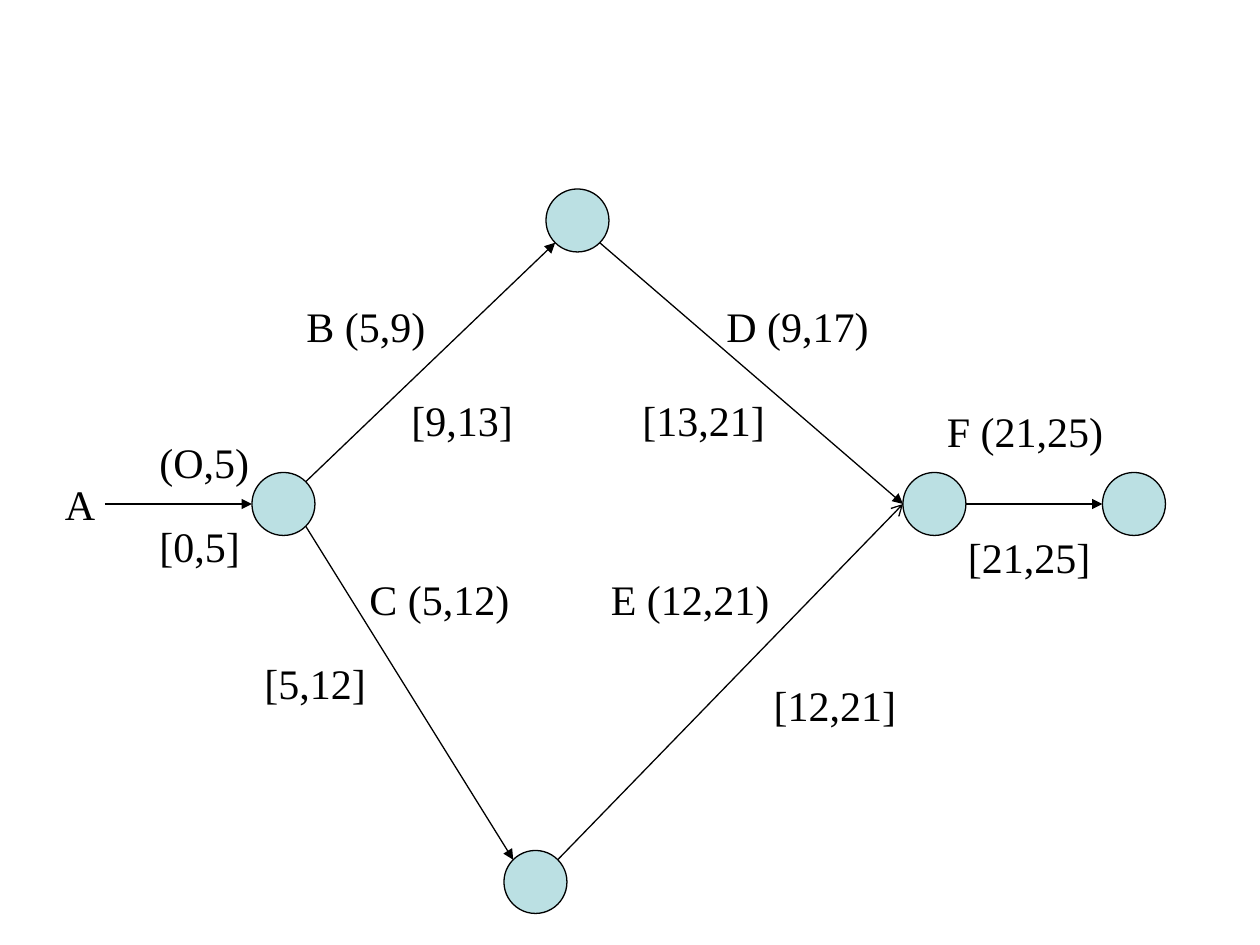
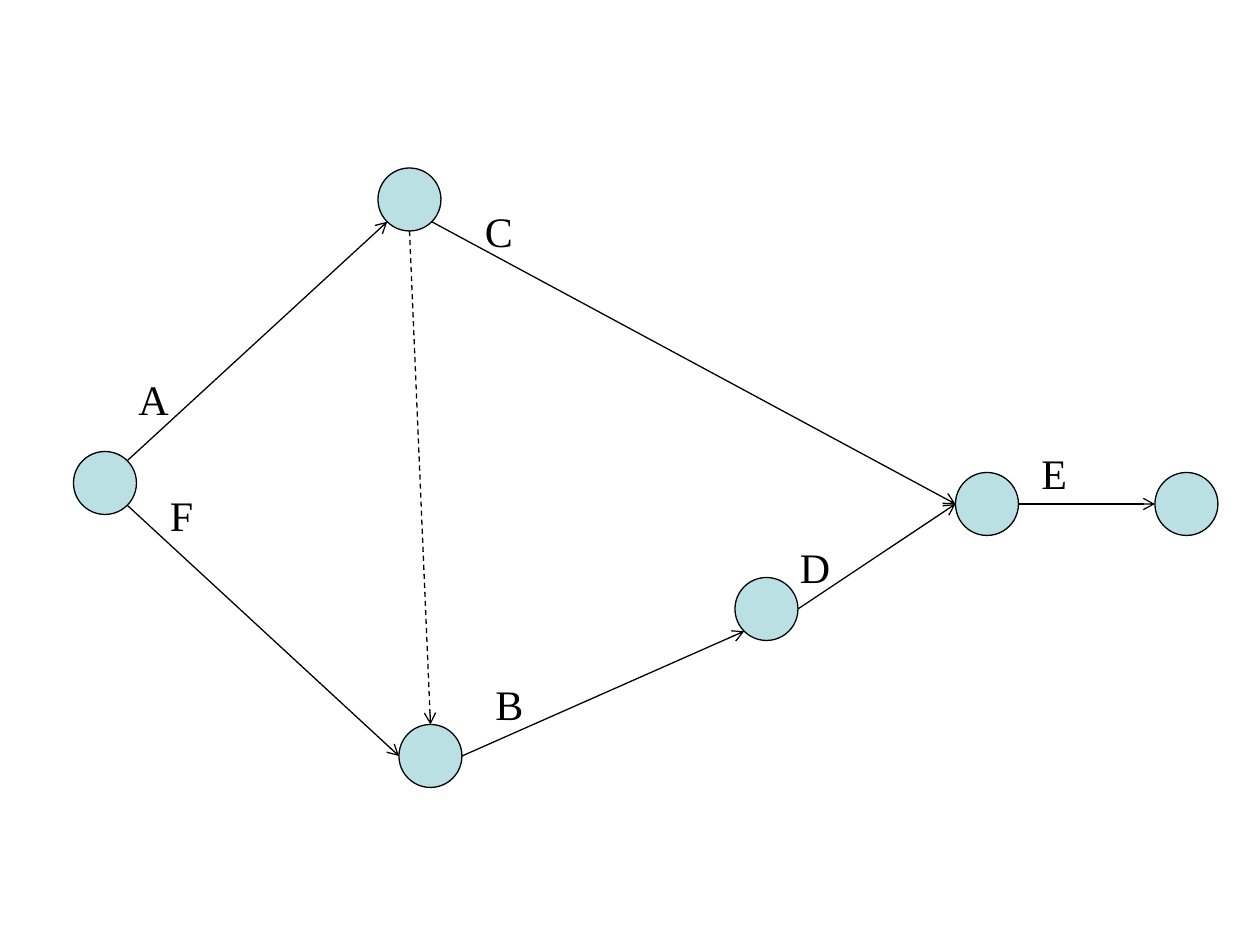
"""Build two activity network diagrams: one with start and finish times, one with a dummy activity."""
from lxml.etree import SubElement
from pptx import Presentation
from pptx.dml.color import RGBColor
from pptx.enum.dml import MSO_LINE
from pptx.enum.shapes import MSO_CONNECTOR, MSO_SHAPE
from pptx.enum.text import MSO_AUTO_SIZE
from pptx.oxml.ns import qn
from pptx.util import Pt

COLORS = {"node": "BBE0E3", "ink": "000000"}
FONT = "Times New Roman"
NODE_SIZE = 36
LABEL_HEIGHT = 36
LINE_WIDTH = Pt(0.75)
DIAGONAL = 0.707
SITES = {
    "top": (0, -1),
    "bottom": (0, 1),
    "left": (-1, 0),
    "right": (1, 0),
    "top left": (-DIAGONAL, -DIAGONAL),
    "top right": (DIAGONAL, -DIAGONAL),
    "bottom left": (-DIAGONAL, DIAGONAL),
    "bottom right": (DIAGONAL, DIAGONAL),
}

# Nodes: centre x, y. Labels: left, top, width. Arrows: from, site, to, site, head, dashed.
NETWORKS = [
    {
        "nodes": {
            "upper": (330, 126),
            "start": (162, 288),
            "finish": (648, 288),
            "merge": (534, 288),
            "lower": (306, 504),
        },
        "labels": {
            "A": (30, 270, 30),
            "(O,5)": (84, 246, 78),
            "[0,5]": (84, 294, 72),
            "B (5,9)": (168, 168, 90),
            "[9,13]": (228, 222, 78),
            "C (5,12)": (204, 324, 102),
            "[5,12]": (144, 372, 78),
            "D (9,17)": (408, 168, 102),
            "[13,21]": (360, 222, 90),
            "E (12,21)": (342, 324, 114),
            "[12,21]": (435, 385, 108),
            "F (21,25)": (534, 228, 114),
            "[21,25]": (546, 300, 96),
        },
        "arrows": [
            ("A", "right", "start", "left", "triangle", False),
            ("start", "top right", "upper", "bottom left", "triangle", False),
            ("start", "bottom right", "lower", "top left", "triangle", False),
            ("upper", "bottom right", "merge", "left", "triangle", False),
            ("merge", "right", "finish", "left", "triangle", False),
            ("lower", "top right", "merge", "left", "arrow", False),
        ],
    },
    {
        "nodes": {
            "upper": (234, 114),
            "start": (60, 276),
            "finish": (678, 288),
            "merge": (564, 288),
            "lower": (246, 432),
            "middle": (438, 348),
        },
        "labels": {
            "A": (72, 210, 42),
            "F": (90, 276, 42),
            "C": (270, 114, 42),
            "D": (450, 306, 36),
            "B": (276, 384, 42),
            "E": (588, 252, 48),
        },
        "arrows": [
            ("start", "top right", "upper", "bottom left", "arrow", False),
            ("start", "bottom right", "lower", "left", "arrow", False),
            ("upper", "bottom right", "merge", "left", "arrow", False),
            ("merge", "right", "finish", "left", "arrow", False),
            ("lower", "right", "middle", "bottom left", "arrow", False),
            ("middle", "right", "merge", "left", "arrow", False),
            ("upper", "bottom", "lower", "top", "arrow", True),
        ],
    },
]


def color(name):
    return RGBColor.from_string(COLORS[name])


def site_position(shape, site):
    across, down = SITES[site]
    x = shape.left + shape.width * (1 + across) / 2
    y = shape.top + shape.height * (1 + down) / 2
    return int(x), int(y)


presentation = Presentation()
presentation.slide_width = Pt(720)
presentation.slide_height = Pt(540)

for network in NETWORKS:
    slide = presentation.slides.add_slide(presentation.slide_layouts[6])
    shapes = {}

    for name, (x, y) in network["nodes"].items():
        node = slide.shapes.add_shape(
            MSO_SHAPE.FLOWCHART_CONNECTOR,
            Pt(x - NODE_SIZE / 2), Pt(y - NODE_SIZE / 2), Pt(NODE_SIZE), Pt(NODE_SIZE),
        )
        node.shadow.inherit = False
        node.fill.solid()
        node.fill.fore_color.rgb = color("node")
        node.line.color.rgb = color("ink")
        node.line.width = LINE_WIDTH
        shapes[name] = node

    for text, (left, top, width) in network["labels"].items():
        label = slide.shapes.add_textbox(Pt(left), Pt(top), Pt(width), Pt(LABEL_HEIGHT))
        label.text_frame.word_wrap = True
        label.text_frame.auto_size = MSO_AUTO_SIZE.SHAPE_TO_FIT_TEXT
        paragraph = label.text_frame.paragraphs[0]
        paragraph.text = text
        paragraph.font.name = FONT
        paragraph.font.size = Pt(24)
        paragraph.font.color.rgb = color("ink")
        shapes[text] = label

    for begin, begin_site, end, end_site, head, dashed in network["arrows"]:
        arrow = slide.shapes.add_connector(
            MSO_CONNECTOR.STRAIGHT,
            *site_position(shapes[begin], begin_site),
            *site_position(shapes[end], end_site),
        )
        if begin in network["labels"]:
            arrow.begin_connect(shapes[begin], 3)
        arrow.line.color.rgb = color("ink")
        arrow.line.width = LINE_WIDTH
        if dashed:
            arrow.line.dash_style = MSO_LINE.DASH
        SubElement(arrow.line._get_or_add_ln(), qn("a:tailEnd"), type=head)
        SubElement(arrow._element.spPr, qn("a:effectLst"))

presentation.save("out.pptx")
